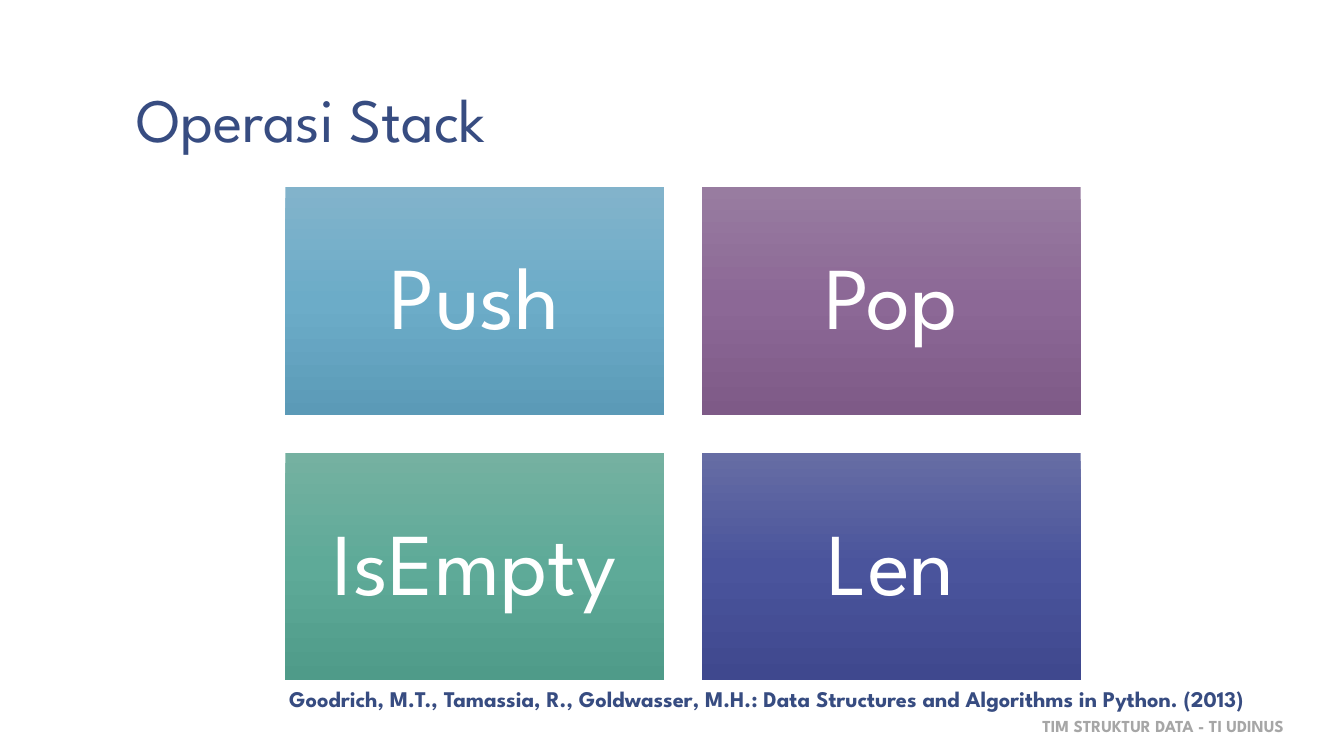
import copy
from dataclasses import dataclass

import pptx
import pptx.dml.color
import pptx.enum.shapes
import pptx.enum.text
import pptx.oxml.ns
import pptx.util

Inches = pptx.util.Inches
ALIGN = pptx.enum.text.PP_ALIGN
ANCHOR = pptx.enum.text.MSO_ANCHOR

FONT = "League Spartan"
COLORS = {"navy": "374C81", "gray": "A6A6A6", "white": "FFFFFF"}

# Grid of operation tiles
COLUMNS = 2
GRID_LEFT, GRID_TOP = 2.83, 1.86
TILE_WIDTH, TILE_HEIGHT = 3.76, 2.26
GAP = 0.37


@dataclass
class Operation:
    name: str
    gradient: tuple[str, str, str]


@dataclass
class Label:
    text: str
    box: tuple[float, float, float, float]
    size: int
    color: str
    bold: bool = False
    anchor: ANCHOR = ANCHOR.TOP
    insets: tuple[float, float] = (0.1, 0.05)
    line_spacing: float = 1.0


OPERATIONS = [
    Operation("Push", ("82B3CB", "6CACC8", "5B9AB7")),
    Operation("Pop", ("987CA0", "8C6896", "7E5A87")),
    Operation("IsEmpty", ("75B1A1", "5EAA98", "4F9B89")),
    Operation("Len", ("666DA4", "4A549C", "3F488E")),
]

LABELS = [
    Label("TIM STRUKTUR DATA - TI UDINUS", (10.24, 7.05, 2.67, 0.3), 12, "gray", bold=True),
    Label("Operasi Stack", (1.22, 0.08, 11.11, 1.53), 44, "navy",
          anchor=ANCHOR.BOTTOM, insets=(0.13, 0.07), line_spacing=0.85),
    Label("Goodrich, M.T., Tamassia, R., Goldwasser, M.H.: "
          "Data Structures and Algorithms in Python. (2013)",
          (2.77, 6.75, 10.56, 0.37), 16, "navy", bold=True),
]


def rgb(value: str) -> pptx.dml.color.RGBColor:
    return pptx.dml.color.RGBColor.from_string(value)


def write_text(frame: pptx.text.text.TextFrame, text: str, size: int, color: str,
               bold: bool, anchor: ANCHOR, insets: tuple[float, float],
               align: ALIGN, line_spacing: float) -> None:
    side, end = map(Inches, insets)
    paragraph = frame.paragraphs[0]
    paragraph.text = text
    formats = {
        frame: {"word_wrap": True, "vertical_anchor": anchor,
                "margin_left": side, "margin_right": side,
                "margin_top": end, "margin_bottom": end},
        paragraph: {"alignment": align, "line_spacing": line_spacing},
    }
    font = paragraph.runs[0].font
    formats[font] = {"name": FONT, "size": pptx.util.Pt(size), "bold": bold}
    for target, values in formats.items():
        for attribute, value in values.items():
            setattr(target, attribute, value)
    font.color.rgb = rgb(COLORS[color])


def fill_gradient(tile: pptx.shapes.autoshape.Shape, colors: tuple[str, str, str]) -> None:
    tile.fill.gradient()
    tile.fill.gradient_angle = 270
    # A new gradient has two stops; the middle one is added here
    stop_list = tile.fill._xPr.find(".//" + pptx.oxml.ns.qn("a:gsLst"))
    stop_list.insert(1, copy.deepcopy(stop_list[0]))
    for index, (stop, color) in enumerate(zip(tile.fill.gradient_stops, colors)):
        stop.position = index / (len(colors) - 1)
        stop.color.rgb = rgb(color)


def draw_operation(slide: pptx.slide.Slide, operation: Operation, index: int) -> None:
    row, column = divmod(index, COLUMNS)
    tile = slide.shapes.add_shape(
        pptx.enum.shapes.MSO_SHAPE.RECTANGLE,
        Inches(GRID_LEFT + column * (TILE_WIDTH + GAP)),
        Inches(GRID_TOP + row * (TILE_HEIGHT + GAP)),
        Inches(TILE_WIDTH), Inches(TILE_HEIGHT))
    tile.shadow.inherit = False
    tile.line.fill.background()
    fill_gradient(tile, operation.gradient)
    write_text(tile.text_frame, operation.name, 63, "white", False,
               ANCHOR.MIDDLE, (0.26, 0.26), ALIGN.CENTER, 0.9)


def draw_label(slide: pptx.slide.Slide, label: Label) -> None:
    box = slide.shapes.add_textbox(*map(Inches, label.box))
    write_text(box.text_frame, label.text, label.size, label.color, label.bold,
               label.anchor, label.insets, ALIGN.LEFT, label.line_spacing)


def main() -> None:
    deck = pptx.Presentation()
    deck.slide_width, deck.slide_height = Inches(13.33), Inches(7.5)
    slide = deck.slides.add_slide(deck.slide_layouts[6])

    # Stack operations
    for index, operation in enumerate(OPERATIONS):
        draw_operation(slide, operation, index)

    # Title, citation and footer
    for label in LABELS:
        draw_label(slide, label)

    deck.save("out.pptx")


if __name__ == "__main__":
    main()
